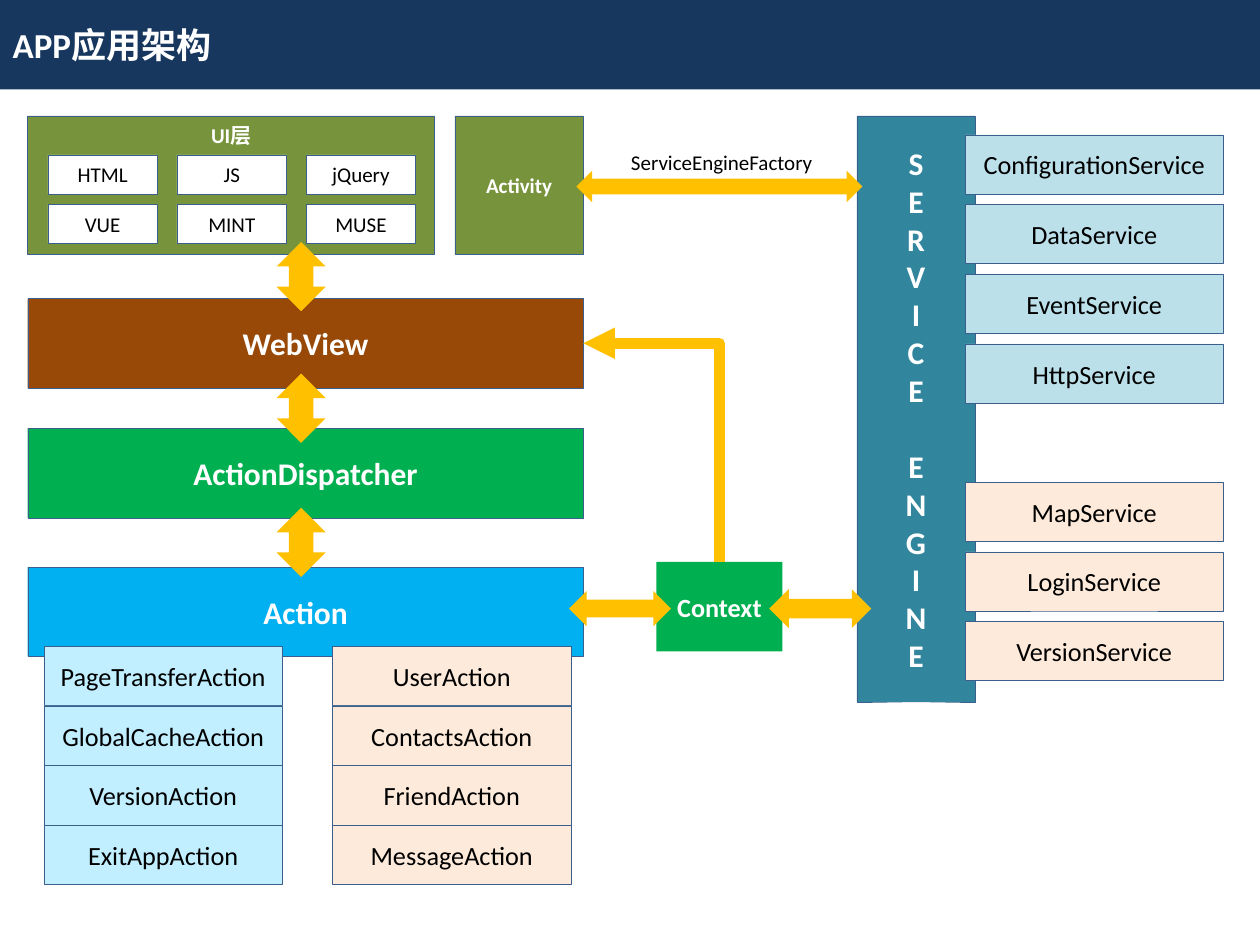
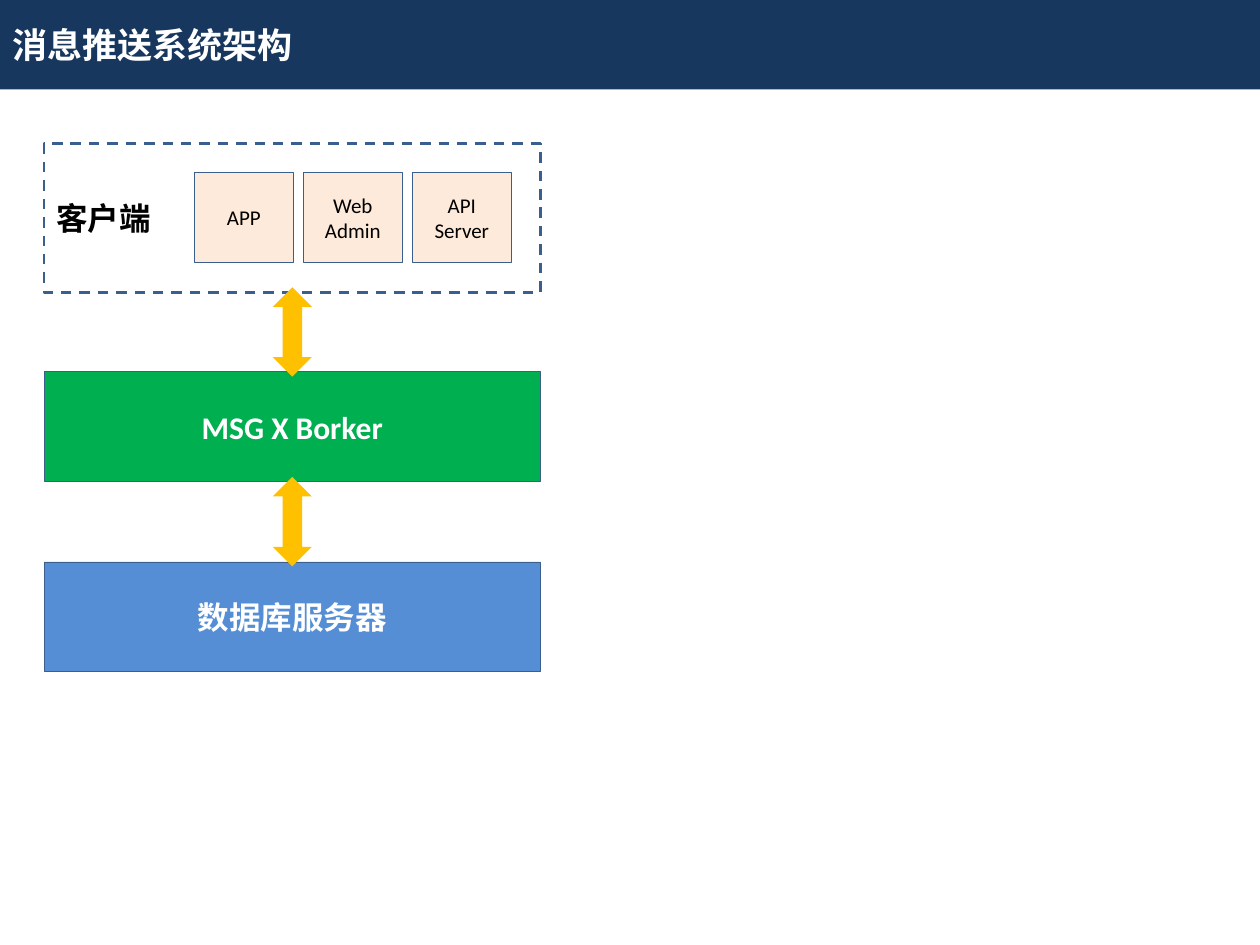
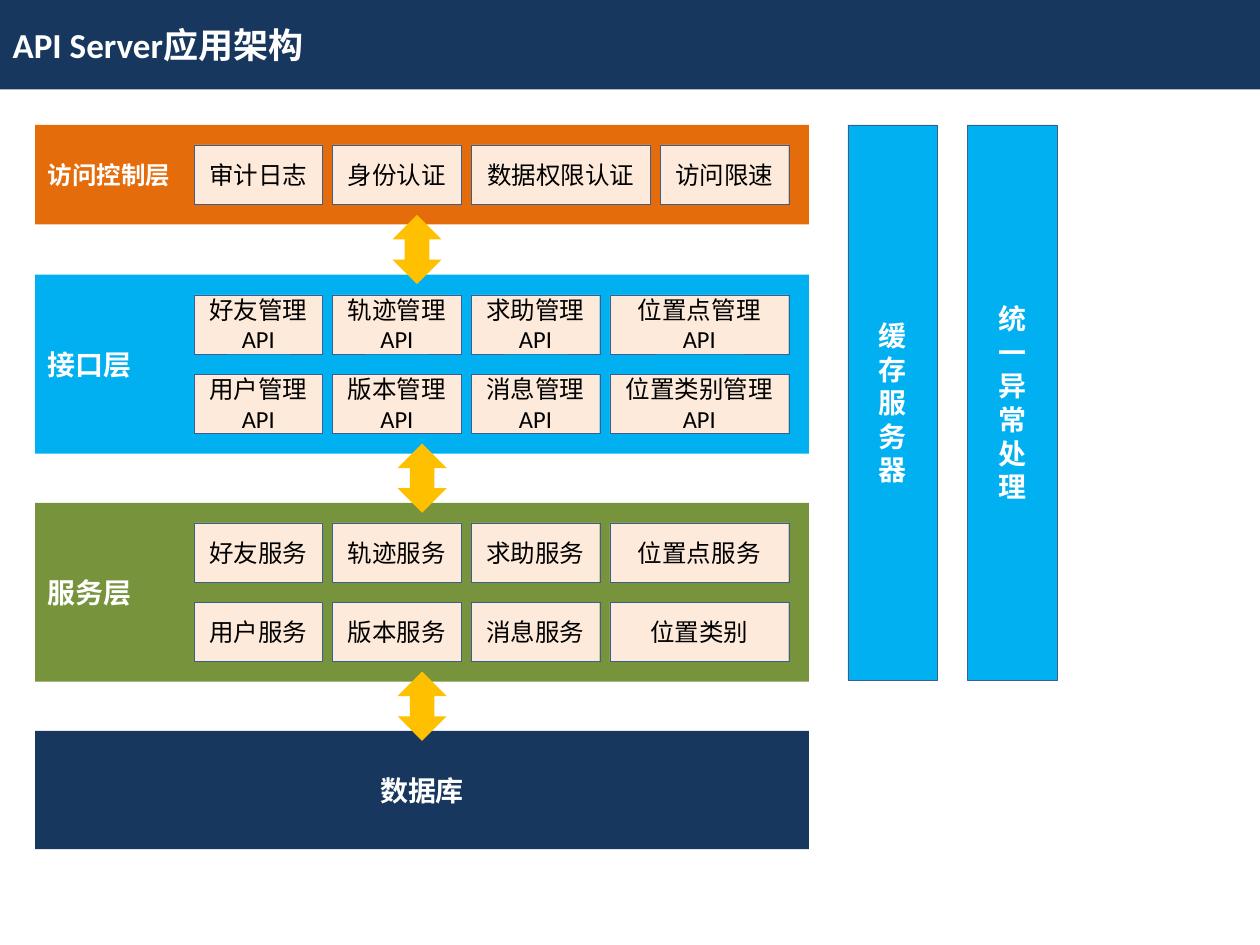
from dataclasses import dataclass

from lxml.etree import SubElement
from pptx import Presentation
from pptx.dml.color import RGBColor
from pptx.enum.dml import MSO_LINE_DASH_STYLE as Dash
from pptx.enum.shapes import MSO_CONNECTOR as Connector, MSO_SHAPE as Preset
from pptx.enum.text import MSO_ANCHOR as Anchor, MSO_AUTO_SIZE as AutoSize, PP_ALIGN as Align
from pptx.oxml.ns import qn
from pptx.util import Inches, Pt


@dataclass(frozen=True)
class Theme:
    font: str = "Calibri"
    navy: str = "17375E"
    outline: str = "3A5F8C"
    arrow: str = "FFC000"
    sky: str = "00B0F0"
    green: str = "00B050"
    olive: str = "77933C"
    brown: str = "984807"
    orange: str = "E46C0A"
    teal: str = "31859C"
    blue: str = "558ED5"
    pale_teal: str = "BCE0EA"
    pale_sky: str = "C1EFFF"
    peach: str = "FDEADA"
    white: str = "FFFFFF"
    black: str = "000000"
    title: int = 20
    heading: int = 18
    layer: int = 16
    item: int = 15
    tile: int = 14
    small: int = 12
    hairline: float = 0.25


@dataclass(frozen=True)
class Box:
    x: float
    y: float
    w: float
    h: float

    def inner(self, dx, dy, w, h):
        return Box(self.x + dx, self.y + dy, w, h)

    def lengths(self):
        return [Inches(value) for value in (self.x, self.y, self.w, self.h)]

    @property
    def center_x(self):
        return self.x + self.w / 2

    @property
    def center_y(self):
        return self.y + self.h / 2

    @property
    def right(self):
        return self.x + self.w

    @property
    def bottom(self):
        return self.y + self.h


THEME = Theme()


def rgb(color):
    return RGBColor.from_string(color)


def write_text(frame, text, size=THEME.heading, color=THEME.white, bold=True,
               align=Align.CENTER, anchor=Anchor.MIDDLE):
    frame.word_wrap = True
    frame.vertical_anchor = anchor
    frame.text = text
    for paragraph in frame.paragraphs:
        paragraph.alignment = align
        for run in paragraph.runs:
            run.font.name = THEME.font
            run.font.size = Pt(size)
            run.font.bold = bold
            run.font.color.rgb = rgb(color)


def add_block(slide, box, text, fill=None, outlined=True, **text_format):
    block = slide.shapes.add_shape(Preset.RECTANGLE, *box.lengths())
    block.shadow.inherit = False
    if fill:
        block.fill.solid()
        block.fill.fore_color.rgb = rgb(fill)
    else:
        block.fill.background()
    if outlined:
        block.line.color.rgb = rgb(THEME.outline)
        block.line.width = Pt(THEME.hairline)
    else:
        block.line.fill.background()
    write_text(block.text_frame, text, **text_format)
    return block


def add_tiles(slide, area, rows, widths, height, fill, size):
    column_gap = (area.w - sum(widths)) / max(len(widths) - 1, 1)
    row_gap = (area.h - height * len(rows)) / max(len(rows) - 1, 1)
    for row_index, row in enumerate(rows):
        dx = 0
        for label, width in zip(row, widths):
            tile = area.inner(dx, row_index * (height + row_gap), width, height)
            add_block(slide, tile, label, fill, size=size, color=THEME.black, bold=False)
            dx += width + column_gap


def add_stack(slide, area, labels, height, fill):
    add_tiles(slide, area, [[label] for label in labels], [area.w], height, fill, THEME.item)


def add_double_arrow(slide, center_x, center_y, length, thickness, rotation=0):
    box = Box(center_x - thickness / 2, center_y - length / 2, thickness, length)
    arrow = slide.shapes.add_shape(Preset.UP_DOWN_ARROW, *box.lengths())
    arrow.shadow.inherit = False
    arrow.rotation = rotation
    arrow.fill.solid()
    arrow.fill.fore_color.rgb = rgb(THEME.arrow)
    arrow.line.fill.background()


def add_bent_arrow(slide, start, end):
    (start_x, start_y), (end_x, end_y) = start, end
    center_x, center_y = (start_x + end_x) / 2, (start_y + end_y) / 2
    half_run, half_rise = abs(start_y - end_y) / 2, abs(start_x - end_x) / 2
    arrow = slide.shapes.add_connector(
        Connector.ELBOW,
        Inches(center_x - half_run), Inches(center_y + half_rise),
        Inches(center_x + half_run), Inches(center_y - half_rise))
    arrow.line.color.rgb = rgb(THEME.arrow)
    arrow.line.width = Pt(6)
    properties = arrow._element.spPr
    properties.find(qn("a:xfrm")).set("rot", str(270 * 60000))
    properties.find(qn("a:prstGeom")).set("prst", "bentConnector2")
    SubElement(properties.find(qn("a:ln")), qn("a:tailEnd"), type="triangle")
    SubElement(properties, qn("a:effectLst"))


def add_titled_slide(deck, text):
    slide = deck.slides.add_slide(deck.slide_layouts[5])
    title = slide.shapes.title
    title.left, title.top, title.width, title.height = Box(0, 0, 10, 0.71).lengths()
    title.fill.solid()
    title.fill.fore_color.rgb = rgb(THEME.navy)
    write_text(title.text_frame, text, size=THEME.title, align=Align.LEFT)
    title.text_frame.auto_size = AutoSize.NONE
    return slide


def add_ui_layer(slide, box):
    add_block(slide, box, "UI层", THEME.olive, size=THEME.small, anchor=Anchor.TOP)
    rows = [["HTML", "JS", "jQuery"], ["VUE", "MINT", "MUSE"]]
    add_tiles(slide, box.inner(0.16, 0.31, 2.92, 0.7), rows, [0.87] * 3, 0.31,
              THEME.white, THEME.small)


def add_action_layer(slide, box):
    add_block(slide, box, "Action", THEME.sky)
    built_in = ["PageTransferAction", "GlobalCacheAction", "VersionAction", "ExitAppAction"]
    business = ["UserAction", "ContactsAction", "FriendAction", "MessageAction"]
    for dx, labels, fill in ((0.13, built_in, THEME.pale_sky), (2.42, business, THEME.peach)):
        add_stack(slide, box.inner(dx, 0.63, 1.89, 1.89), labels, 0.47, fill)


def add_service_engine(slide, box):
    words = "SERVICE", "ENGINE"
    engine = add_block(slide, box, "\n".join("".join(words)), THEME.teal)
    engine.text_frame.paragraphs[len(words[0])].space_before = Pt(22)
    built_in = ["ConfigurationService", "DataService", "EventService", "HttpService"]
    business = ["MapService", "LoginService", "VersionService"]
    add_stack(slide, box.inner(0.86, 0.15, 2.05, 2.13), built_in, 0.47, THEME.pale_teal)
    add_stack(slide, box.inner(0.86, 2.91, 2.05, 1.57), business, 0.47, THEME.peach)


def add_factory_link(slide, box):
    label = slide.shapes.add_textbox(*box.lengths())
    write_text(label.text_frame, "ServiceEngineFactory", size=THEME.small, color=THEME.black,
               bold=False, align=Align.LEFT, anchor=Anchor.TOP)
    label.text_frame.auto_size = AutoSize.SHAPE_TO_FIT_TEXT
    add_double_arrow(slide, 5.71, box.bottom + 0.04, 2.27, 0.25, rotation=90)


def build_app_slide(deck):
    slide = add_titled_slide(deck, "APP应用架构")
    ui_layer = Box(0.22, 0.92, 3.23, 1.1)
    web_view = Box(0.22, 2.37, 4.41, 0.71)
    dispatcher = Box(0.22, 3.4, 4.41, 0.71)
    action = Box(0.22, 4.5, 4.41, 0.71)
    context = Box(5.21, 4.46, 1, 0.71)
    add_ui_layer(slide, ui_layer)
    add_block(slide, Box(3.61, 0.92, 1.02, 1.1), "Activity", THEME.olive, size=THEME.small)
    add_block(slide, web_view, "WebView", THEME.brown)
    add_block(slide, dispatcher, "ActionDispatcher", THEME.green)
    add_action_layer(slide, action)
    add_service_engine(slide, Box(6.8, 0.92, 0.94, 4.65))
    add_factory_link(slide, Box(4.91, 1.14, 1.86, 0.3))
    for upper, lower in ((ui_layer, web_view), (web_view, dispatcher), (dispatcher, action)):
        add_double_arrow(slide, 2.39, (upper.bottom + lower.y) / 2, 0.55, 0.39)
    add_block(slide, context, "Context", THEME.green, outlined=False, size=THEME.item)
    for center_x, thickness in ((4.92, 0.28), (6.51, 0.31)):
        add_double_arrow(slide, center_x, 4.83, 0.81, thickness, rotation=90)
    add_bent_arrow(slide, (context.center_x, context.y), (web_view.right, web_view.center_y))


def add_clients(slide, box):
    clients = add_block(slide, box, "客户端", color=THEME.black, align=Align.LEFT)
    clients.line.width = Pt(1.5)
    clients.line.dash_style = Dash.DASH
    add_tiles(slide, box.inner(1.19, 0.23, 2.52, 0.71), [["APP", "Web Admin", "API Server"]],
              [0.79] * 3, 0.71, THEME.peach, THEME.small)


def build_push_slide(deck):
    slide = add_titled_slide(deck, "消息推送系统架构")
    clients = Box(0.35, 1.14, 3.94, 1.18)
    broker = Box(0.35, 2.95, 3.94, 0.87)
    database = Box(0.35, 4.46, 3.94, 0.87)
    add_clients(slide, clients)
    add_block(slide, broker, "MSG X Borker", THEME.green)
    add_block(slide, database, "数据库服务器", THEME.blue)
    for upper, lower in ((clients, broker), (broker, database)):
        add_double_arrow(slide, upper.center_x, (upper.bottom + lower.y) / 2, 0.71, 0.31)


def add_server_layer(slide, box, name, fill, rows, widths, size=THEME.layer):
    add_block(slide, box, name, fill, outlined=False, size=size, align=Align.LEFT)
    add_tiles(slide, box.inner(1.26, 0.16, 4.72, box.h - 0.32), rows, widths, 0.47,
              THEME.peach, THEME.tile)


def build_server_slide(deck):
    slide = add_titled_slide(deck, "API Server应用架构")
    access = Box(0.28, 0.99, 6.14, 0.79)
    interface = Box(0.28, 2.18, 6.14, 1.42)
    service = Box(0.28, 3.99, 6.14, 1.42)
    database = Box(0.28, 5.8, 6.14, 0.94)
    narrow, wide = 1.02, 1.42
    topic_widths = [narrow, narrow, narrow, wide]
    topics = [["好友", "轨迹", "求助", "位置点"], ["用户", "版本", "消息", "位置类别"]]
    apis = [[f"{topic}管理API" for topic in row] for row in topics]
    services = [[f"{topic}服务" for topic in row] for row in topics]
    services[-1][-1] = "位置类别"
    add_server_layer(slide, access, "访问控制层", THEME.orange,
                     [["审计日志", "身份认证", "数据权限认证", "访问限速"]],
                     [narrow, narrow, wide, narrow], size=THEME.tile)
    add_server_layer(slide, interface, "接口层", THEME.sky, apis, topic_widths)
    add_server_layer(slide, service, "服务层", THEME.olive, services, topic_widths)
    add_block(slide, database, "数据库", THEME.navy, outlined=False, size=THEME.layer)
    for upper, lower, center_x in ((access, interface, 3.31), (interface, service, 3.35),
                                   (service, database, 3.35)):
        add_double_arrow(slide, center_x, (upper.bottom + lower.y) / 2, 0.55, 0.39)
    for x, name in ((6.73, "缓存服务器"), (7.68, "统一异常处理")):
        add_block(slide, Box(x, 0.99, 0.71, 4.41), "\n".join(name), THEME.sky, size=THEME.layer)


def main():
    deck = Presentation()
    deck.slide_width, deck.slide_height = Inches(10), Inches(7.5)
    build_app_slide(deck)
    build_push_slide(deck)
    build_server_slide(deck)
    deck.save("out.pptx")


main()
